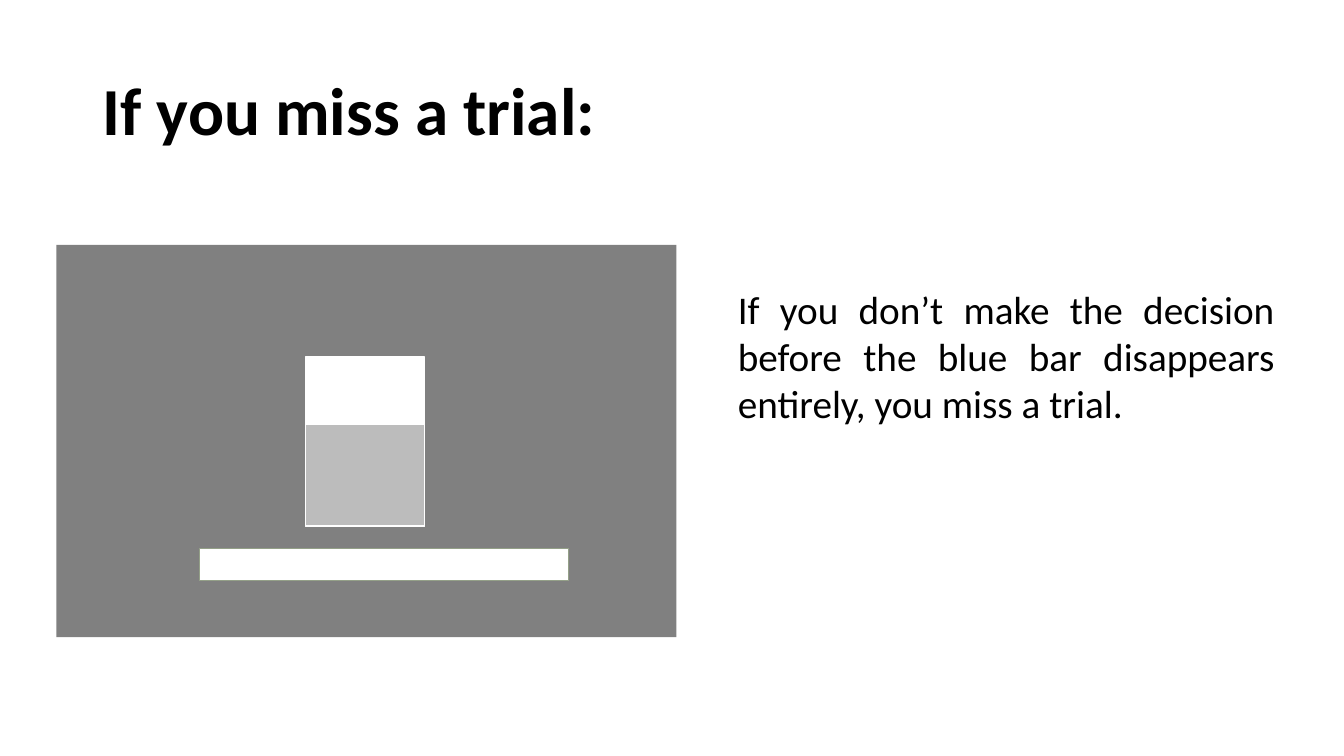
import pptx
import pptx.dml.color
import pptx.enum.shapes
import pptx.enum.text
import pptx.util

PX = 9144  # 100 px to the inch
FONT = "Calibri"
BLACK, WHITE = "000000", "FFFFFF"
SCREEN_GREY, FILLING_GREY, BAR_EDGE = "808080", "BCBCBC", "94A088"


def px(*lengths):
    return [pptx.util.Emu(length * PX) for length in lengths]


def color(hex_string):
    return pptx.dml.color.RGBColor.from_string(hex_string)


def add_text(slide, box, words, size, bold=False):
    """Add a wrapped one-paragraph text box; return its frame and paragraph."""
    frame = slide.shapes.add_textbox(*px(*box)).text_frame
    frame.word_wrap = True
    frame.text = words
    paragraph = frame.paragraphs[0]
    font = paragraph.runs[0].font
    font.name, font.size, font.bold = FONT, pptx.util.Pt(size), bold
    font.color.rgb = color(BLACK)
    return frame, paragraph


def add_title(slide, box):
    frame, paragraph = add_text(slide, box, "If you miss a trial:", 48, bold=True)
    frame.vertical_anchor = pptx.enum.text.MSO_ANCHOR.MIDDLE
    paragraph.line_spacing = 0.9


def add_explanation(slide, box):
    frame, paragraph = add_text(
        slide, box,
        "If you don’t make the decision before the blue bar disappears "
        "entirely, you miss a trial.", 28)
    frame.auto_size = pptx.enum.text.MSO_AUTO_SIZE.SHAPE_TO_FIT_TEXT
    paragraph.alignment = pptx.enum.text.PP_ALIGN.JUSTIFY


def add_rectangle(shapes, box, fill, edge=None):
    rectangle = shapes.add_shape(
        pptx.enum.shapes.MSO_SHAPE.RECTANGLE, *px(*box))
    rectangle.shadow.inherit = False
    rectangle.fill.solid()
    rectangle.fill.fore_color.rgb = color(fill)
    if edge:
        rectangle.line.color.rgb = color(edge)
        rectangle.line.width = pptx.util.Pt(1)
    else:
        rectangle.line.fill.background()


def add_trial_screen(slide, box):
    """Draw the task screen: a partly filled container above an empty time bar."""
    left, top, width, height = box
    shapes = slide.shapes.add_group_shape().shapes
    add_rectangle(shapes, box, SCREEN_GREY)

    container_left, container_top = left + 247, top + 111
    container_width, container_height, filling_height = 118, 168, 101
    add_rectangle(
        shapes,
        (container_left, container_top, container_width, container_height),
        WHITE, WHITE)
    add_rectangle(
        shapes,
        (container_left, container_top + container_height - filling_height,
         container_width, filling_height),
        FILLING_GREY, WHITE)

    add_rectangle(shapes, (left + 142, top + 301, 366, 32), WHITE, BAR_EDGE)


def main():
    deck = pptx.Presentation()
    deck.slide_width, deck.slide_height = px(1333, 750)
    slide = deck.slides.add_slide(deck.slide_layouts[6])
    add_title(slide, (92, 40, 1150, 145))
    add_trial_screen(slide, (56, 243, 615, 389))
    add_explanation(slide, (722, 278, 552, 151))
    deck.save("out.pptx")


if __name__ == "__main__":
    main()
